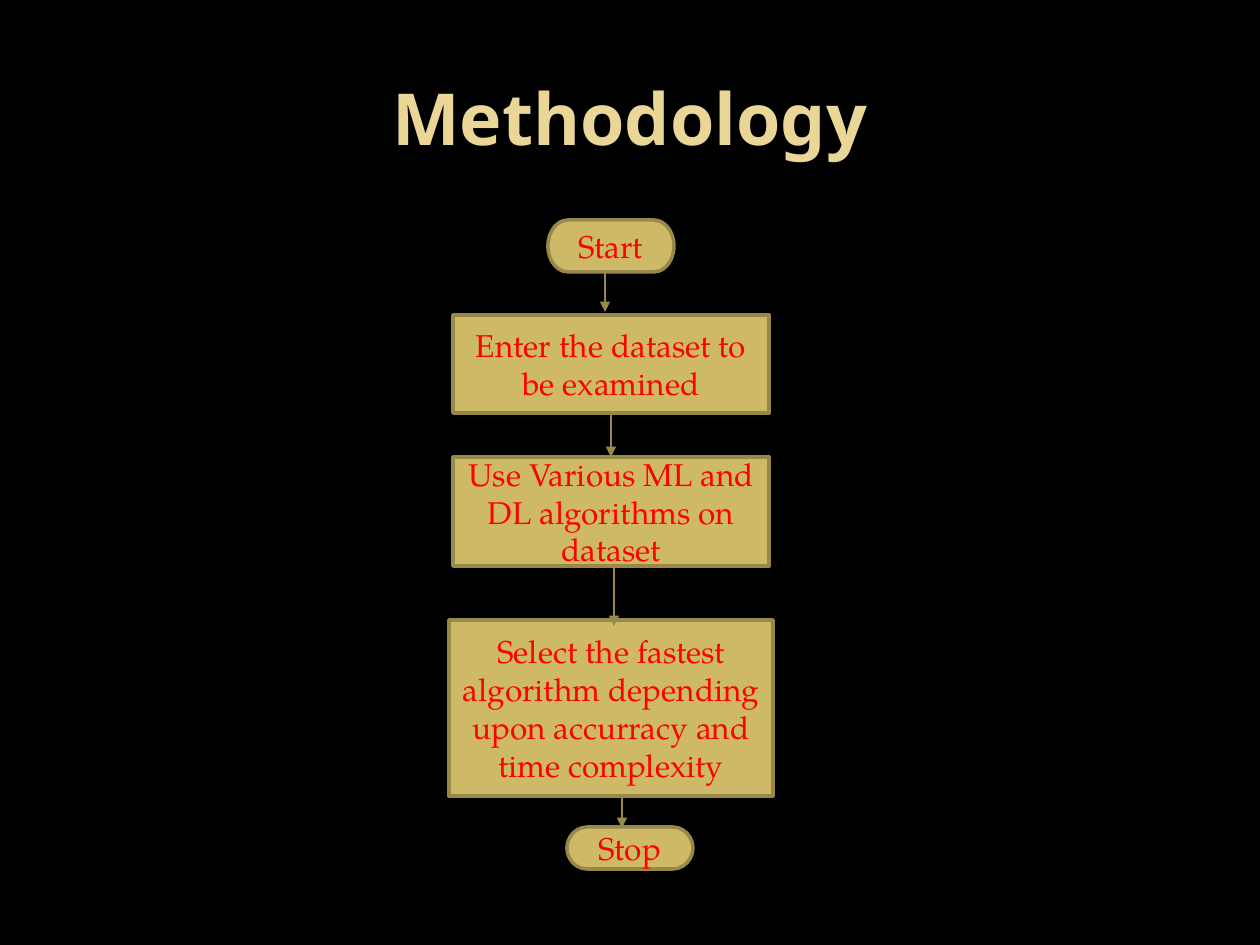
from pptx import Presentation
from pptx.dml import color
from pptx.enum import shapes, text
from pptx.oxml import ns
from pptx.util import Pt
from lxml import etree

PX = 914400 / 126
HUES = {"back": "000000", "title": "EAD696", "fill": "CEB966",
        "edge": "98894B", "arrow": "998946", "label": "FF0000"}
KIND = shapes.MSO_SHAPE
END, STEP = KIND.FLOWCHART_TERMINATOR, KIND.FLOWCHART_PROCESS


def px(*vals):
    return [round(v * PX) for v in vals]


def hue(name):
    return color.RGBColor.from_string(HUES[name])


def write(shape, words, size=18, font="TeX Gyre Pagella", tint="label", bold=False):
    frame = shape.text_frame
    frame.word_wrap = True
    frame.vertical_anchor = text.MSO_ANCHOR.MIDDLE
    para = frame.paragraphs[0]
    para.alignment = text.PP_ALIGN.CENTER
    run = para.add_run()
    run.text = words
    run.font.size = Pt(size)
    run.font.name = font
    run.font.bold = bold
    run.font.color.rgb = hue(tint)


def node(slide, kind, box, words):
    shape = slide.shapes.add_shape(kind, *px(*box))
    shape.shadow.inherit = False
    shape.fill.solid()
    shape.fill.fore_color.rgb = hue("fill")
    shape.line.color.rgb = hue("edge")
    shape.line.width = Pt(2)
    write(shape, words)
    return shape


def arrow(slide, x, top, end):
    line = slide.shapes.add_connector(shapes.MSO_CONNECTOR.STRAIGHT, *px(x, top, x, end))
    line.line.color.rgb = hue("arrow")
    line.line.width = Pt(0.75)
    etree.SubElement(line.line._get_or_add_ln(), ns.qn("a:tailEnd"), type="triangle")
    etree.SubElement(line._element.spPr, ns.qn("a:effectLst"))
    return line


def title(slide, x, y, w, h):
    box = slide.shapes.add_textbox(*px(x, y, w, h))
    write(box, "Methodology", size=41, font="Noto Sans", tint="title", bold=True)


def flow(slide, x, y):
    steps = [
        (END, (99, 0, 126, 52), "Start"),
        (STEP, (4, 95, 316, 98), "Enter the dataset to be examined"),
        (STEP, (4, 237, 316, 109), "Use Various ML and DL algorithms on dataset"),
        (STEP, (0, 400, 324, 176), "Select the fastest algorithm depending upon "
                                   "accurracy and time complexity"),
        (END, (118, 607, 126, 42), "Stop"),
    ]
    nodes = [node(slide, kind, (x + a, y + b, w, h), words)
             for kind, (a, b, w, h), words in steps]
    links = [arrow(slide, x + a, y + top, y + end) for a, top, end in
             [(156, 52, 92), (162, 193, 237), (165, 346, 406), (173, 576, 608)]]
    links[1].begin_connect(nodes[1], 2)
    links[1].end_connect(nodes[2], 0)


def main():
    deck = Presentation()
    deck.slide_width, deck.slide_height = px(1260, 945)
    slide = deck.slides.add_slide(deck.slide_layouts[6])
    slide.background.fill.solid()
    slide.background.fill.fore_color.rgb = hue("back")
    title(slide, 63, 38, 1134, 158)
    flow(slide, 449, 220)
    deck.save("out.pptx")


if __name__ == "__main__":
    main()
